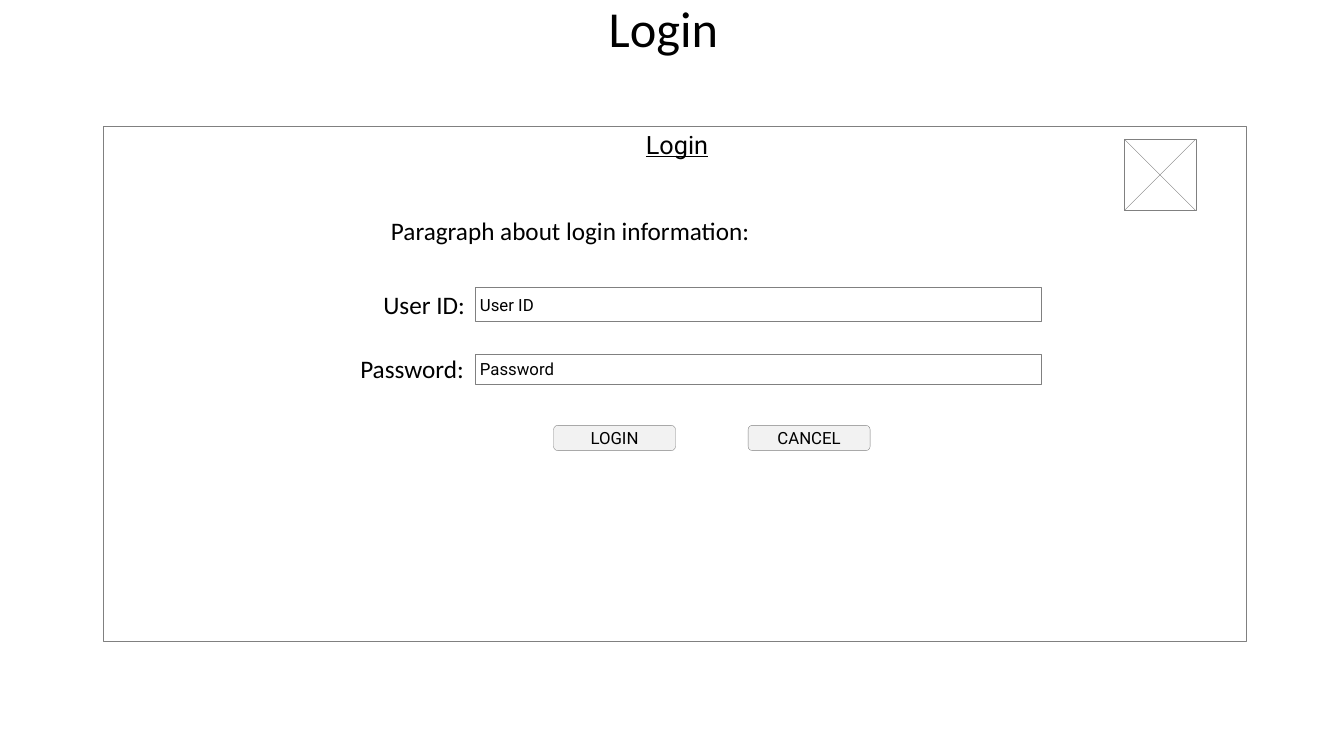
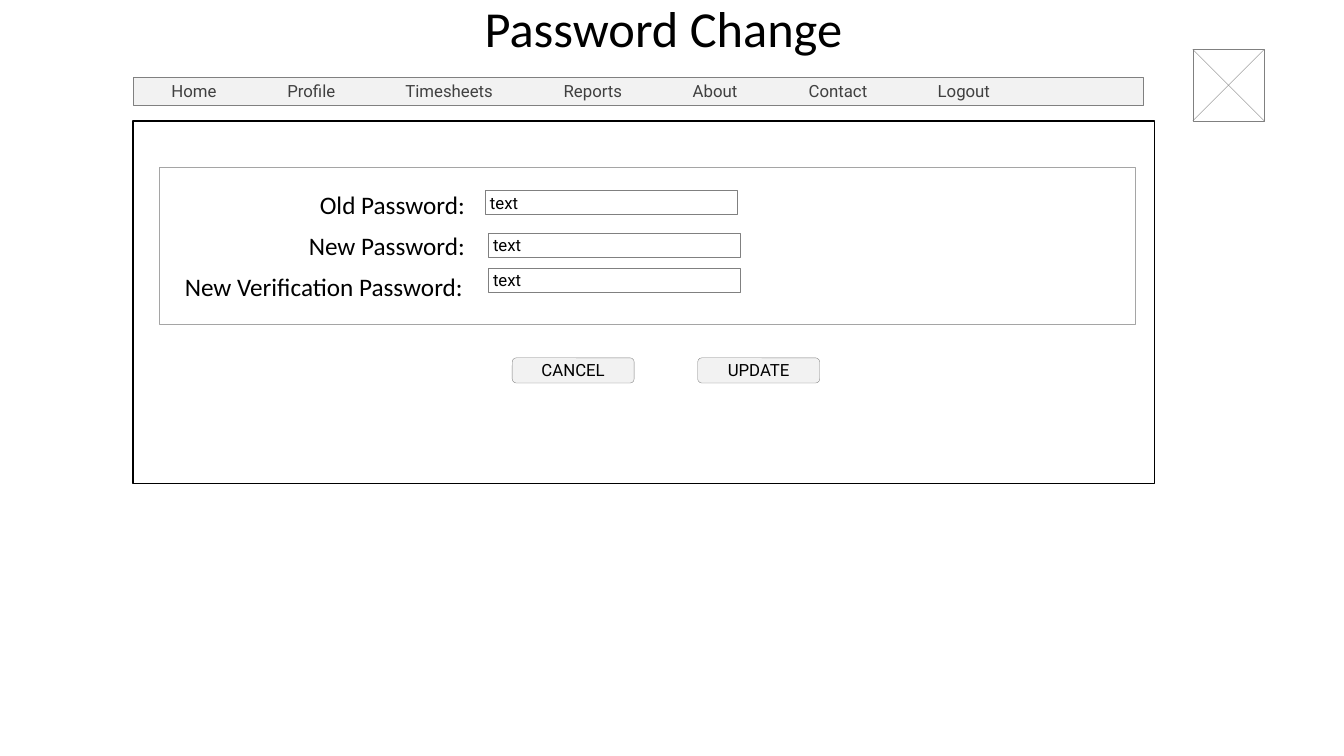
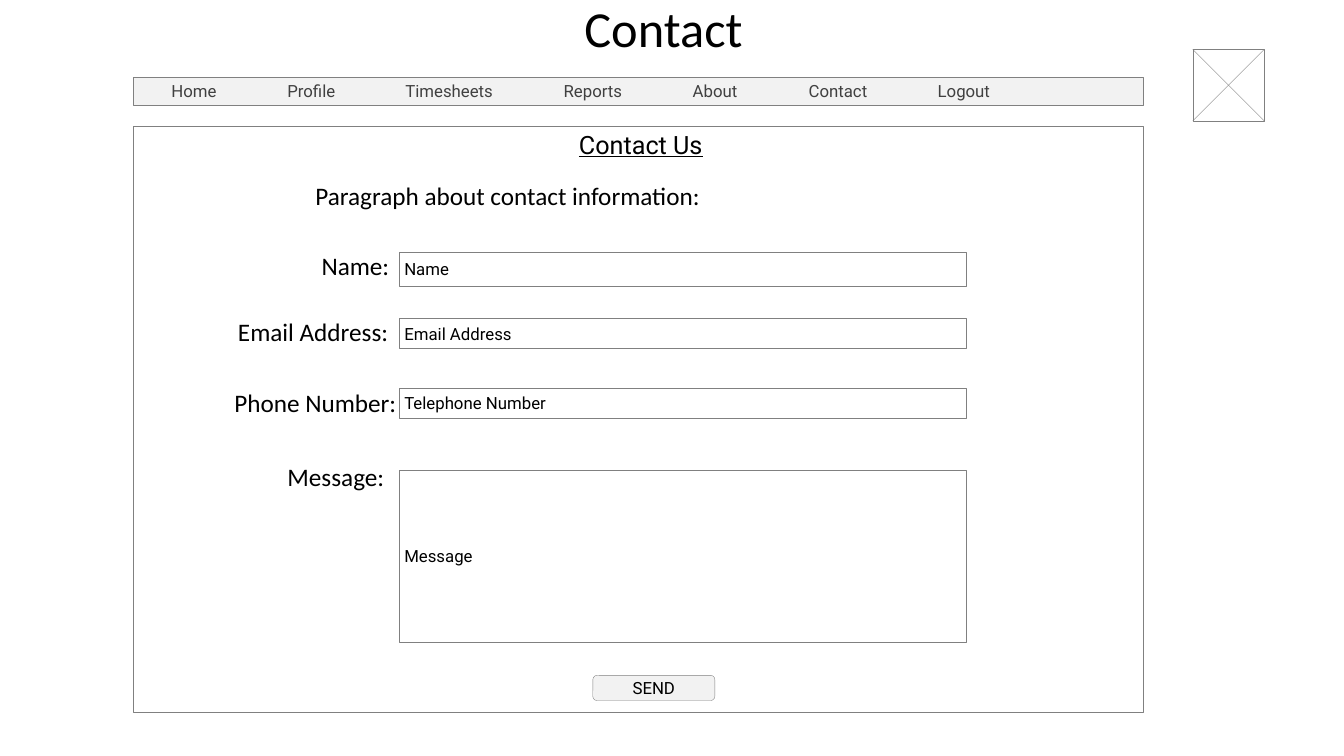
"""Builds three wireframe slides: login, password change and contact form."""
from dataclasses import dataclass

from lxml import etree
from pptx import Presentation
from pptx import util as u
from pptx.dml.color import RGBColor
from pptx.enum import shapes, text
from pptx.oxml import ns


@dataclass(frozen=True)
class Theme:
    ink: str = "000000"
    nav_ink: str = "404040"
    paper: str = "FFFFFF"
    button: str = "F2F2F2"
    edge: str = "808080"
    panel: str = "A5A5A5"
    body_font: str = "Calibri"
    ui_font: str = "Roboto"
    title_size: int = 36
    label_size: int = 18
    ui_size: int = 12
    hair: float = 0.25
    rule: float = 1


T = Theme()
TITLE = (0, -0.08, 13.16, 0.71)
NAV = (1.32, 0.77, 10.02, 0.27)
NAV_ITEMS = [("Home", 0.33), ("Profile", 1.48), ("Timesheets", 2.65), ("Reports", 4.22),
             ("About", 5.5), ("Contact", 6.65), ("Logout", 7.93)]
BUTTON_W, BUTTON_H = 1.21, 0.25
LABEL_W, LABEL_H = 3.2, 0.4
LOGO_SIDE = 0.71
NAV_LOGO = (11.83, 0.49)

SLIDES = [
    dict(title="Login", frame=(1.02, 1.25, 11.34, 5.11), heading="Login",
         logo=(11.15, 1.38), intro=("Paragraph about login information:", 3.78, 2.09),
         input_w=5.62,
         fields=[("User ID:", 4.71, 2.82, "User ID", 4.71, 2.85, 0.34),
                 ("Password:", 4.7, 3.46, "Password", 4.71, 3.51, 0.3)],
         buttons=[("LOGIN", 5.49), ("CANCEL", 7.42)], button_top=4.22),
    dict(title="Password Change", nav=True, frame=(1.32, 1.2, 10.13, 3.6),
         frame_line=(T.ink, T.rule), panel=(1.58, 1.66, 9.68, 1.56), logo=NAV_LOGO,
         input_w=2.5,
         fields=[("Old Password:", 4.71, 1.83, "text", 4.81, 1.89, 0.24),
                 ("New Password:", 4.71, 2.24, "text", 4.84, 2.31, 0.24),
                 ("New Verification Password:", 4.69, 2.64, "text", 4.84, 2.66, 0.24)],
         buttons=[("CANCEL", 5.08), ("UPDATE", 6.92)], button_top=3.55),
    dict(title="Contact", nav=True, frame=(1.32, 1.25, 10.02, 5.82), heading="Contact Us",
         logo=NAV_LOGO, intro=("Paragraph about contact information:", 3.03, 1.74),
         input_w=5.62,
         fields=[("Name:", 3.96, 2.43, "Name", 3.96, 2.5, 0.34),
                 ("Email Address:", 3.95, 3.09, "Email Address", 3.96, 3.16, 0.3),
                 ("Phone Number:", 4.03, 3.79, "Telephone Number", 3.96, 3.85, 0.3),
                 ("Message:", 3.91, 4.53, "Message", 3.96, 4.66, 1.71)],
         buttons=[("SEND", 5.88)], button_top=6.7),
]


def inches(values):
    return [u.Inches(v) for v in values]


def write(sp, words, size, font, color=T.ink, align="LEFT", anchor="MIDDLE",
          insets=(0.1, 0.05, 0.1, 0.05), underline=None):
    tf = sp.text_frame
    tf.word_wrap = True
    tf.auto_size = text.MSO_AUTO_SIZE.NONE
    tf.vertical_anchor = text.MSO_ANCHOR[anchor]
    tf.margin_left, tf.margin_top, tf.margin_right, tf.margin_bottom = inches(insets)
    p = tf.paragraphs[0]
    p.alignment = text.PP_ALIGN[align]
    r = p.add_run()
    r.text = words
    r.font.size, r.font.name, r.font.underline = u.Pt(size), font, underline
    r.font.color.rgb = RGBColor.from_string(color)
    return p


def stroke(line, color=T.edge, width=T.hair):
    line.color.rgb = RGBColor.from_string(color)
    line.width = u.Pt(width)


def box(parent, at, fill=T.paper, line=(T.edge, T.hair), kind="RECTANGLE"):
    sp = parent.shapes.add_shape(shapes.MSO_SHAPE[kind], *inches(at))
    sp.shadow.inherit = False
    if fill:
        sp.fill.solid()
        sp.fill.fore_color.rgb = RGBColor.from_string(fill)
    else:
        sp.fill.background()
    stroke(sp.line, *line)
    return sp


def label(s, words, at, align="LEFT"):
    sp = s.shapes.add_textbox(*inches(at))
    write(sp, words, T.label_size, T.body_font, align=align, anchor="TOP")


def add_nav(s):
    p = write(box(s, NAV, T.button), "".join("\t" + name for name, _ in NAV_ITEMS),
              T.ui_size, T.ui_font, T.nav_ink, insets=(0.05, 0.05, 0.1, 0.05))
    tabs = etree.SubElement(p._p.get_or_add_pPr(), ns.qn("a:tabLst"))
    for _, stop in NAV_ITEMS:
        etree.SubElement(tabs, ns.qn("a:tab"), pos=str(u.Inches(stop)), algn="l")


def add_logo(s, x, y):
    group = s.shapes.add_group_shape()
    box(group, (x, y, LOGO_SIDE, LOGO_SIDE))
    top, bottom = y, y + LOGO_SIDE
    for start, end in ((top, bottom), (bottom, top)):
        line = group.shapes.add_connector(
            shapes.MSO_CONNECTOR.STRAIGHT, *inches((x, start, x + LOGO_SIDE, end)))
        stroke(line.line)
        etree.SubElement(line._element.spPr, ns.qn("a:effectLst"))


def add_field(s, width, name, right, top, hint, x, y, height):
    label(s, name, (right - LABEL_W, top, LABEL_W, LABEL_H), "RIGHT")
    write(box(s, (x, y, width, height)), hint, T.ui_size, T.ui_font,
          insets=(0.05, 0.02, 0.05, 0.02))


def add_button(s, name, x, y):
    sp = box(s, (x, y, BUTTON_W, BUTTON_H), T.button, kind="ROUNDED_RECTANGLE")
    write(sp, name, T.ui_size, T.ui_font, align="CENTER", insets=(0.1, 0, 0.1, 0.01))


def build(prs, page):
    s = prs.slides.add_slide(prs.slide_layouts[5])
    title = s.shapes.title
    title.left, title.top, title.width, title.height = inches(TITLE)
    write(title, page["title"], T.title_size, T.body_font, align="CENTER")
    frame = box(s, page["frame"], line=page.get("frame_line", (T.edge, T.hair)))
    if "heading" in page:
        write(frame, page["heading"], T.label_size, T.ui_font, align="CENTER", anchor="TOP",
              insets=(0.05, 0.03, 0, 0), underline=True)
    if "panel" in page:
        box(s, page["panel"], None, (T.panel, T.rule))
    if page.get("nav"):
        add_nav(s)
    add_logo(s, *page["logo"])
    if "intro" in page:
        words, x, y = page["intro"]
        label(s, words, (x, y, 5, LABEL_H))
    for field in page["fields"]:
        add_field(s, page["input_w"], *field)
    for name, x in page["buttons"]:
        add_button(s, name, x, page["button_top"])


def main():
    prs = Presentation()
    prs.slide_width, prs.slide_height = inches((13.33, 7.5))
    for page in SLIDES:
        build(prs, page)
    prs.save("out.pptx")


if __name__ == "__main__":
    main()
